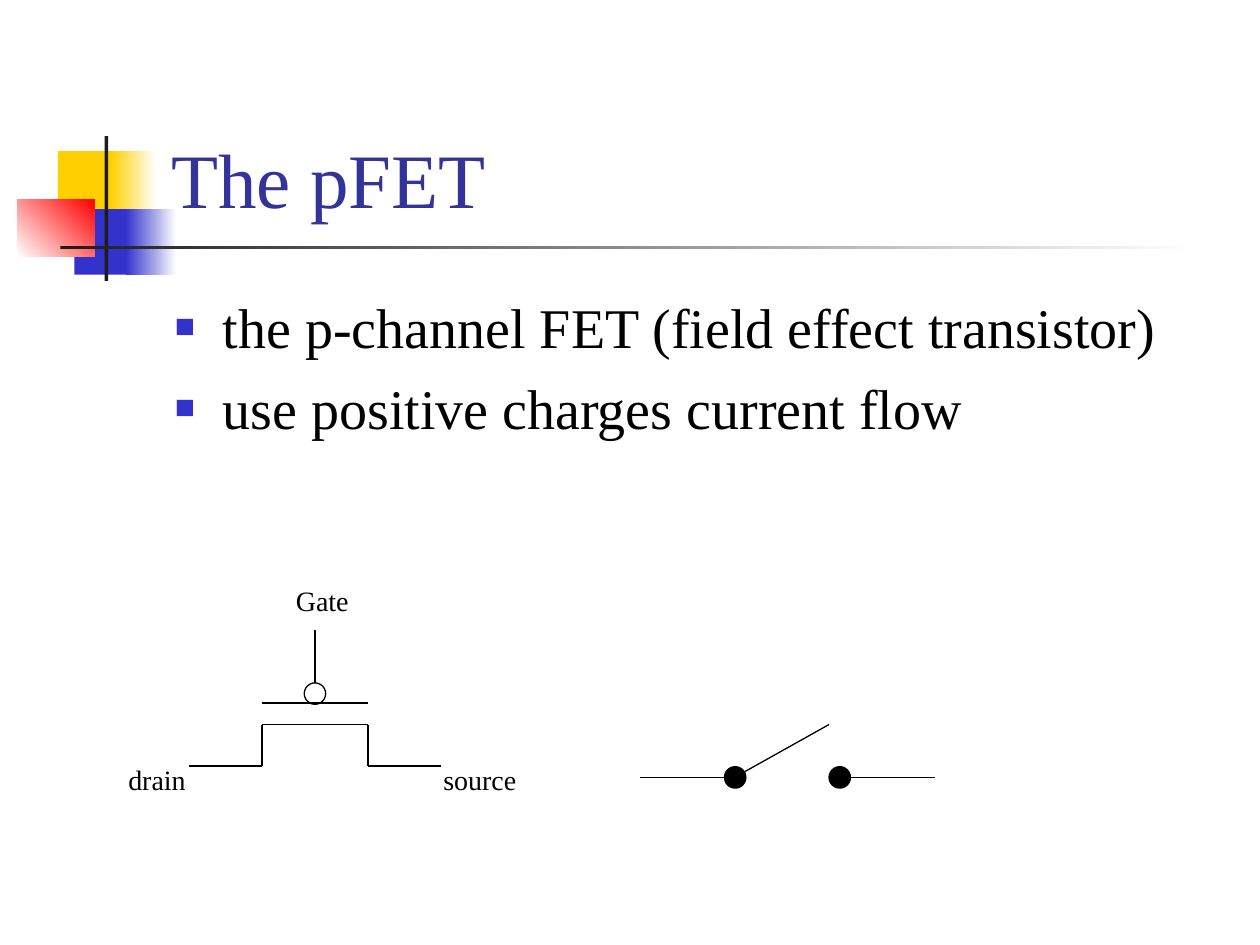
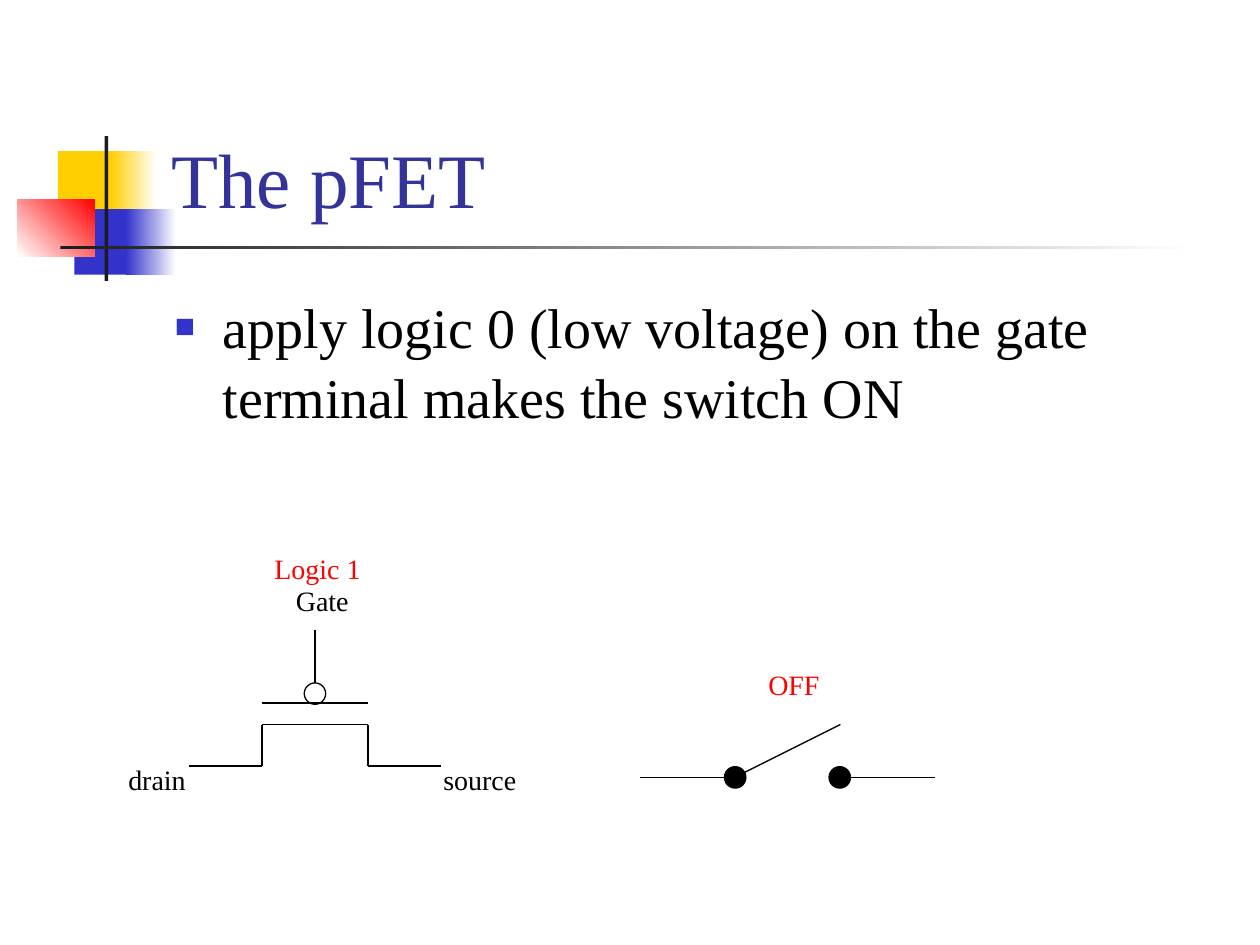
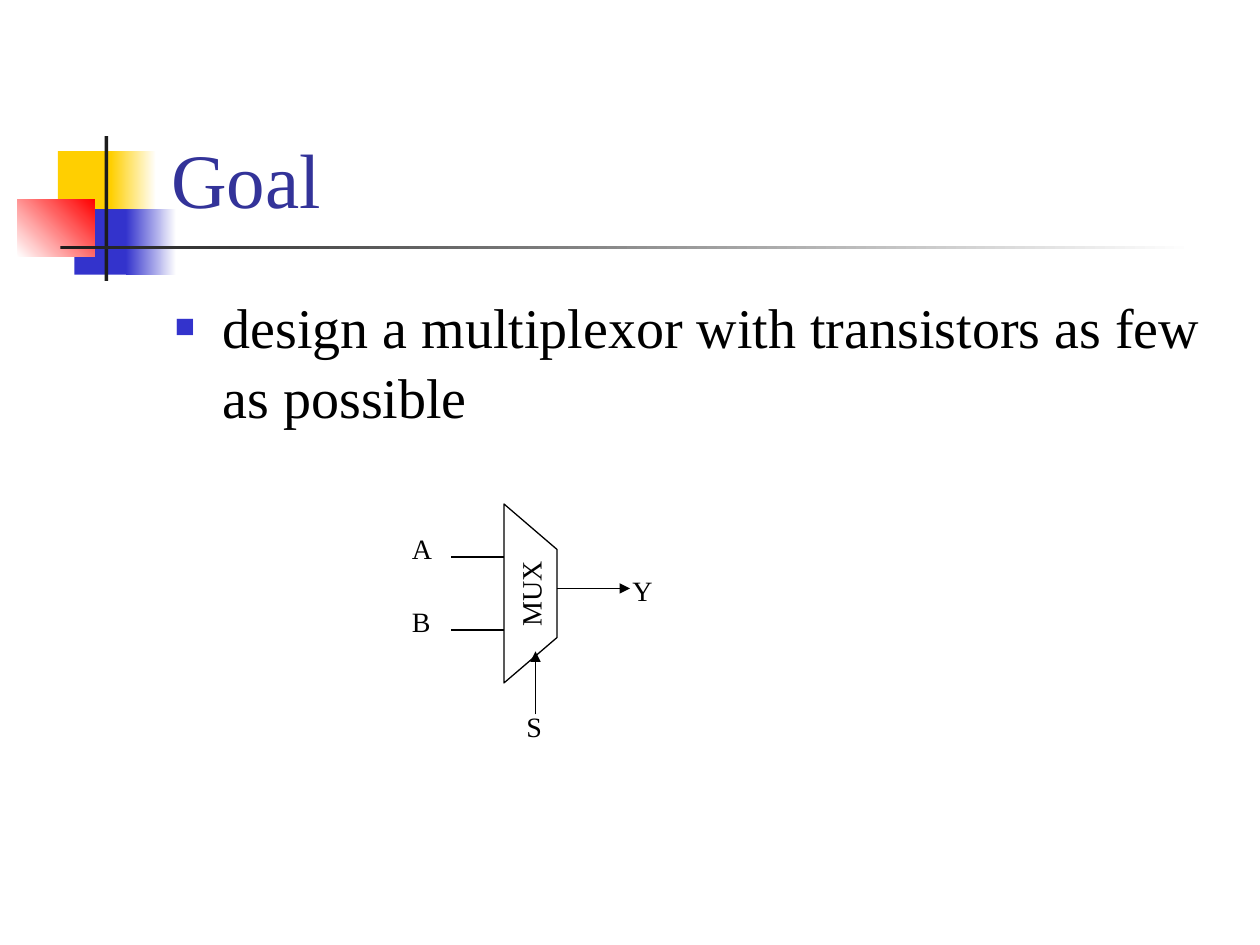
from lxml.etree import SubElement
from pptx import Presentation
from pptx.dml.color import RGBColor
from pptx.enum.dml import MSO_LINE
from pptx.enum.shapes import MSO_CONNECTOR, MSO_SHAPE
from pptx.enum.text import MSO_ANCHOR, MSO_AUTO_SIZE, PP_ALIGN
from pptx.oxml.ns import qn
from pptx.util import Inches, Pt

FONT = "Times New Roman"
BLACK, WHITE, RED = "000000", "FFFFFF", "FF0000"
YELLOW, BLUE, CHARCOAL, TITLE_BLUE = "FFCF01", "3333CC", "1C1C1C", "333399"
TERMINAL = 0.17
LABEL_HEIGHT = 0.37
DECORATION = [
    ((0.46, 1.2, 0.48, 0.52), [YELLOW], 0),
    ((0.88, 1.2, 0.36, 0.52), [YELLOW, WHITE], 0),
    ((0.59, 1.66, 0.46, 0.52), [BLUE], 0),
    ((1, 1.66, 0.4, 0.52), [BLUE, WHITE], 0),
    ((0.14, 1.58, 0.61, 0.46), [WHITE, RED], 45),
    ((0.83, 1.08, 0.03, 1.15), [CHARCOAL], 0),
    ((0.48, 1.95, 9, 0.03), [CHARCOAL, WHITE], 0),
]


def color(value):
    return RGBColor.from_string(value)


def inches(*lengths):
    return [Inches(length) for length in lengths]


def write(paragraph, text, size=16, ink=BLACK, align=PP_ALIGN.LEFT):
    paragraph.alignment = align
    run = paragraph.add_run()
    run.text = text
    run.font.name = FONT
    run.font.size = Pt(size)
    run.font.color.rgb = color(ink)


def outline(shape):
    shape.line.color.rgb = color(BLACK)
    shape.line.width = Pt(0.75)


def add_label(slide, text, left, top, width, ink=BLACK):
    label = slide.shapes.add_textbox(*inches(left, top, width, LABEL_HEIGHT))
    label.text_frame.word_wrap = False
    label.text_frame.auto_size = MSO_AUTO_SIZE.SHAPE_TO_FIT_TEXT
    write(label.text_frame.paragraphs[0], text, ink=ink)


def add_wire(slide, start, end, arrow=False):
    wire = slide.shapes.add_connector(MSO_CONNECTOR.STRAIGHT, *inches(*start, *end))
    outline(wire)
    if arrow:
        SubElement(wire.line._get_or_add_ln(), qn("a:tailEnd"), type="triangle")
    SubElement(wire.element.spPr, qn("a:effectLst"))


def add_circle(slide, left, top, fill=None):
    circle = slide.shapes.add_shape(MSO_SHAPE.OVAL, *inches(left, top, TERMINAL, TERMINAL))
    circle.shadow.inherit = False
    outline(circle)
    if fill:
        circle.fill.solid()
        circle.fill.fore_color.rgb = color(fill)
    else:
        circle.fill.background()


def add_decoration(slide):
    for box, colors, angle in DECORATION:
        block = slide.shapes.add_shape(MSO_SHAPE.RECTANGLE, *inches(*box))
        block.shadow.inherit = False
        block.line.fill.background()
        if len(colors) == 1:
            block.fill.solid()
            block.fill.fore_color.rgb = color(colors[0])
        else:
            block.fill.gradient()
            block.fill.gradient_angle = angle
            for stop, shade in zip(block.fill.gradient_stops, colors):
                stop.color.rgb = color(shade)


def add_title(slide, text):
    title = slide.shapes.title
    title.left, title.top, title.width, title.height = inches(1.26, 0.23, 8.52, 1.6)
    title.text_frame.word_wrap = True
    title.text_frame.auto_size = MSO_AUTO_SIZE.NONE
    title.text_frame.vertical_anchor = MSO_ANCHOR.BOTTOM
    write(title.text_frame.paragraphs[0], text, size=44, ink=TITLE_BLUE)
    title.element.getparent().append(title.element)


def add_bullet(paragraph):
    properties = paragraph._p.get_or_add_pPr()
    properties.set("marL", str(Inches(0.38)))
    properties.set("indent", str(-Inches(0.38)))
    bullet_color = SubElement(properties, qn("a:buClr"))
    SubElement(bullet_color, qn("a:srgbClr"), val=BLUE)
    SubElement(properties, qn("a:buSzPct"), val="60000")
    SubElement(properties, qn("a:buFont"), typeface=FONT)
    SubElement(properties, qn("a:buChar"), char="■")


def add_points(slide, points, height):
    body = slide.shapes.add_textbox(*inches(1.29, 2.25, 8.5, height)).text_frame
    body.word_wrap = True
    for index, point in enumerate(points):
        paragraph = body.add_paragraph() if index else body.paragraphs[0]
        add_bullet(paragraph)
        paragraph.line_spacing = 1.04
        paragraph.space_before = Pt(6.4 if index else 0)
        write(paragraph, point, size=32)


def add_content_slide(deck, title, points, body_height=1.79):
    slide = deck.slides.add_slide(deck.slide_layouts[5])
    add_decoration(slide)
    add_title(slide, title)
    add_points(slide, points, body_height)
    return slide


def add_pfet(slide, left, top, logic=None):
    channel_left, channel_right = left + 1.16, left + 2
    gate_plate, channel, lead = top + 1, top + 1.17, top + 1.5
    gate_axis, bubble_top = left + 1.58, top + 0.84

    add_label(slide, "Gate", left + 1.33, top, 0.62)
    add_label(slide, "source", left + 2.5, top + 1.42, 0.78)
    add_label(slide, "drain", left, top + 1.42, 0.66)
    for level in (gate_plate, channel):
        add_wire(slide, (channel_left, level), (channel_right, level))
    for side, lead_end in ((channel_left, left + 0.58), (channel_right, left + 2.58)):
        add_wire(slide, (side, channel), (side, lead))
        add_wire(slide, (side, lead), (lead_end, lead))
    add_wire(slide, (gate_axis, bubble_top), (gate_axis, top + 0.42))
    add_circle(slide, gate_axis - TERMINAL / 2, bubble_top)
    if logic:
        add_label(slide, logic, left + 1.16, top - 0.25, 0.89, ink=RED)


def add_switch(slide, left, top, blade_reach, state=None):
    level = top + 0.42
    for wire_start, terminal_left in ((0, 0.67), (1.67, 1.5)):
        add_wire(slide, (left + wire_start, level), (left + wire_start + 0.67, level))
        add_circle(slide, left + terminal_left, level - TERMINAL / 2, fill=BLACK)
    add_wire(slide, (left + 0.75, level), (left + 0.75 + blade_reach, top))
    if state:
        add_label(slide, state, left + 0.92, top - 0.5, 0.67, ink=RED)


def add_multiplexor(slide, left, top):
    length, depth, slant = 1.42, 0.42, 0.36
    body_left = left + 0.83
    box_left = body_left + (depth - length) / 2
    box_top = top + (length - depth) / 2
    corners = [(0, 0), (slant, depth), (length - slant, depth), (length, 0)]
    points = [inches(box_left + x, box_top + y) for x, y in corners]
    builder = slide.shapes.build_freeform(*points[0])
    builder.add_line_segments(points[1:], close=True)
    mux = builder.convert_to_shape()
    mux.rotation = 270
    mux.shadow.inherit = False
    mux.fill.background()
    outline(mux)
    mux.text_frame.word_wrap = False
    mux.text_frame.vertical_anchor = MSO_ANCHOR.MIDDLE
    write(mux.text_frame.paragraphs[0], "MUX", align=PP_ALIGN.CENTER)

    for name, level in (("A", top + 0.42), ("B", top + 1)):
        add_wire(slide, (body_left - 0.42, level), (body_left, level))
        add_label(slide, name, left, level - 0.25, 0.36)
    output_level, select_axis = top + 0.67, body_left + 0.25
    add_wire(slide, (body_left + depth, output_level), (body_left + 1, output_level), arrow=True)
    add_label(slide, "Y", left + 1.75, output_level - 0.17, 0.36)
    add_wire(slide, (select_axis, top + 1.67), (select_axis, top + 1.17), arrow=True)
    add_label(slide, "S", select_axis - 0.17, top + 1.58, 0.32)


def main():
    deck = Presentation()
    deck.slide_width, deck.slide_height = inches(10, 7.5)

    structure = add_content_slide(deck, "The pFET", [
        "the p-channel FET (field effect transistor)",
        "use positive charges current flow",
    ])
    add_switch(structure, 5.08, 5.75, 0.75)
    add_pfet(structure, 0.92, 4.58)

    operation = add_content_slide(deck, "The pFET", [
        "apply logic 0 (low voltage) on the gate terminal makes the switch ON",
    ])
    add_pfet(operation, 0.92, 4.58, logic="Logic 1")
    add_switch(operation, 5.08, 5.75, 0.84, state="OFF")

    goal = add_content_slide(deck, "Goal", [
        "design a multiplexor with transistors as few as possible",
    ], body_height=1.21)
    add_multiplexor(goal, 3.17, 4)

    deck.save("out.pptx")


if __name__ == "__main__":
    main()
